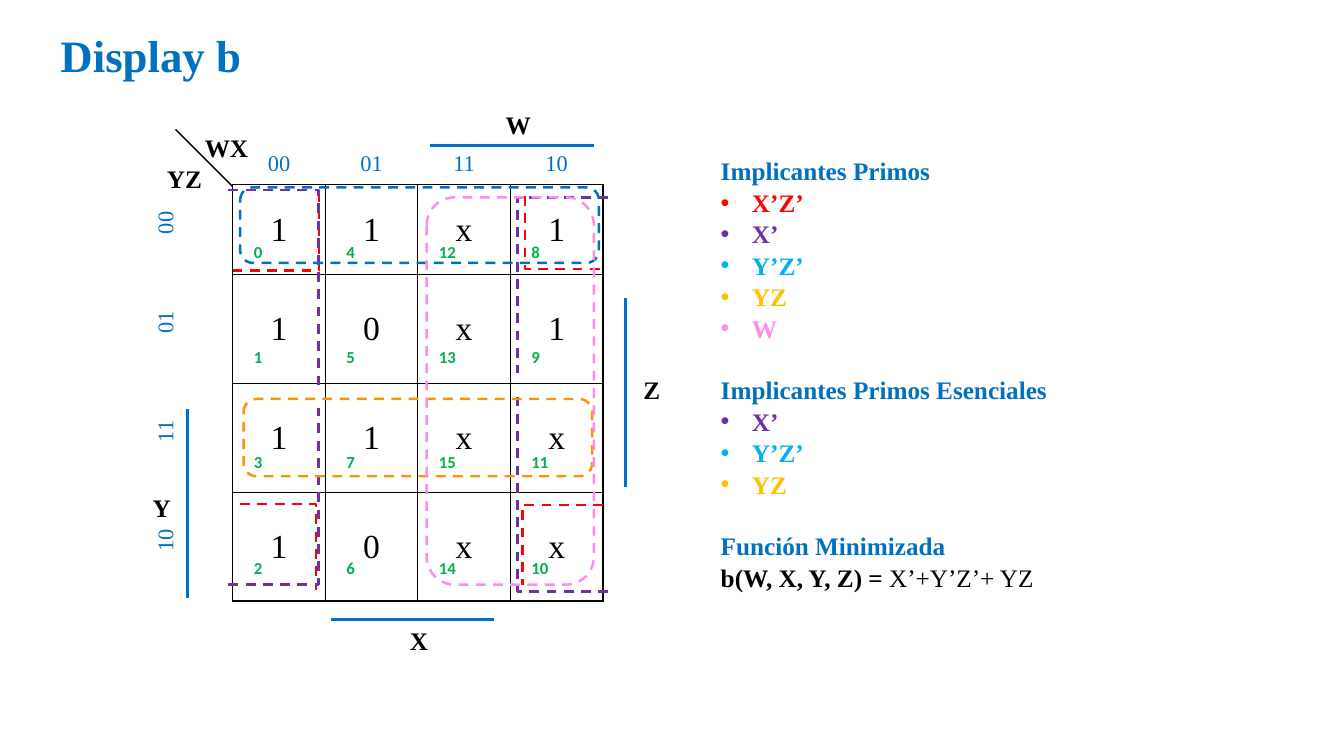
from lxml.etree import SubElement as Sub
from pptx import Presentation
from pptx.dml.color import RGBColor as RGB
from pptx.enum.dml import MSO_LINE as Dash
from pptx.enum.shapes import MSO_CONNECTOR as Conn, MSO_SHAPE as Form
from pptx.enum.text import MSO_ANCHOR as Anchor, MSO_AUTO_SIZE as Fit, PP_ALIGN as Align
from pptx.oxml.ns import qn
from pptx.util import Inches, Pt

COLS, ROWS = 160, 90
FONT = "Times New Roman"
INK = {
    "blue": "0070C0", "black": "000000", "red": "FF0000", "purple": "7030A0",
    "sky": "00B0F0", "gold": "FFC000", "pink": "FD8DEA", "orange": "FF9201",
    "green": "00B050",
}
GRAY = [0, 1, 3, 2]
CODES = [format(code, "02b") for code in GRAY]
MAP = ["11x1", "10x1", "11xx", "10xx"]
LABELS = [
    ("WX", 23.2, 15.2, 7.7), ("YZ", 18.7, 18.8, 6.6), ("Y", 17, 58, 4.6),
    ("Z", 75.4, 44, 4.4), ("W", 59, 12.4, 5.4), ("X", 47.6, 73.8, 4.6),
]
BARS = [
    (51.2, 17.3, 70.7, 17.3), (39.4, 73.8, 58.8, 73.8),
    (74.5, 35.5, 74.5, 58), (22.3, 48.7, 22.3, 71.2),
]
# Each corner runs sideways from its first point, then up or down to its second.
CORNERS = {
    "red": [(27.7, 32.2, 38, 23.2), (71.4, 32, 62.5, 22.7),
            (28.6, 60, 37.6, 70.3), (71.8, 60.1, 62.2, 69.6)],
    "purple": [(27.2, 22.6, 37.9, 46.4), (27.2, 69.6, 37.9, 48.6),
               (72.4, 70.4, 61.6, 46.7), (72.4, 23.5, 61.6, 44.4)],
}
LOOPS = [
    ("blue", 28.6, 22.3, 42.7, 9), ("orange", 29, 47.5, 41.5, 9.2),
    ("pink", 50.8, 23.5, 19.9, 46.1),
]
TERMS = [
    ("Implicantes Primos", [("X’Z’", "red"), ("X’", "purple"), ("Y’Z’", "sky"),
                            ("YZ", "gold"), ("W", "pink")]),
    ("Implicantes Primos Esenciales", [("X’", "purple"), ("Y’Z’", "sky"), ("YZ", "gold")]),
    ("Función Minimizada", []),
]


class Board:
    def __init__(self, deck):
        self.wide, self.high = deck.slide_width, deck.slide_height
        self.slide = deck.slides.add_slide(deck.slide_layouts[1])
        self.shapes = self.slide.shapes

    def grid(self, *nums):
        """Turn alternating column and row counts into lengths."""
        units = (self.wide / COLS, self.high / ROWS)
        return [round(num * units[i % 2]) for i, num in enumerate(nums)]

    def place(self, shape, *box):
        shape.left, shape.top, shape.width, shape.height = self.grid(*box)

    def style(self, part, ink, size=18, bold=True, font=FONT):
        for run in part.runs:
            run.font.name, run.font.size, run.font.bold = font, Pt(size), bold
            run.font.color.rgb = RGB.from_string(INK[ink])

    def title(self, text, *box):
        shape = self.shapes.title
        self.place(shape, *box)
        frame = shape.text_frame
        frame.text, frame.word_wrap, frame.auto_size = text, False, Fit.NONE
        part = frame.paragraphs[0]
        part.alignment = Align.LEFT
        self.style(part, "blue", 32)

    def item(self, frame, text, ink, dot=False, gap=0):
        part = frame.paragraphs[0]
        if part.runs:
            part = frame.add_paragraph()
        part.text, part.line_spacing, part.space_before = text, 1.045, Pt(gap)
        props = part._p.get_or_add_pPr()
        hang = Inches(0.31) if dot else 0
        props.set("marL", str(hang))
        props.set("indent", str(-hang))
        if dot:
            Sub(props, qn("a:buChar")).set("char", "•")
        else:
            Sub(props, qn("a:buNone"))
        self.style(part, ink)
        return part

    def terms(self, *box):
        body = self.slide.placeholders[1]
        self.place(body, *box)
        frame = body.text_frame
        frame.auto_size = Fit.NONE
        for i, (head, names) in enumerate(TERMS):
            self.item(frame, head, "blue", gap=21.6 if i else 0)
            for name, ink in names:
                self.item(frame, name, ink, dot=True)
        part = self.item(frame, "b(W, X, Y, Z) = ", "black")
        part.add_run().text = "X’+Y’Z’+ YZ"
        self.style(part, "black")
        part.runs[-1].font.bold = False

    def label(self, text, x, y, w):
        frame = self.shapes.add_textbox(*self.grid(x, y, w, 4.8)).text_frame
        frame.text, frame.word_wrap, frame.auto_size = text, False, Fit.SHAPE_TO_FIT_TEXT
        self.style(frame.paragraphs[0], "black")

    def table(self, x, y, wide, highs):
        frame = self.shapes.add_table(5, 5, *self.grid(x, y, 5 * wide, sum(highs)))
        table = frame.table
        table.first_row = table.horz_banding = False
        for col in table.columns:
            col.width = self.grid(wide)[0]
        for row, high in zip(table.rows, highs):
            row.height = self.grid(0, high)[1]
        return table

    def cell(self, cell, sides, pads, anchor):
        props = cell._tc.get_or_add_tcPr()
        for side in "LRTB":
            line = Sub(props, qn("a:ln" + side), w=str(Pt(1)))
            if side in sides:
                fill = Sub(line, qn("a:solidFill"))
                Sub(fill, qn("a:srgbClr"), val=INK["black"])
            else:
                Sub(line, qn("a:noFill"))
        cell.fill.background()
        cell.vertical_anchor = anchor
        (cell.margin_left, cell.margin_top,
         cell.margin_right, cell.margin_bottom) = map(Inches, pads)

    def entry(self, cell, text, ink, size, align=Align.CENTER, **look):
        cell.text_frame.text = text
        part = cell.text_frame.paragraphs[0]
        part.alignment = align
        self.style(part, ink, size, **look)

    def indices(self):
        table = self.table(16.2, 7.8, 11.02, [12.53] * 5)
        for r in range(5):
            for c in range(5):
                cell = table.cell(r, c)
                self.cell(cell, "", (0.25, 0.13, 0.25, 0.13), Anchor.BOTTOM)
                if r and c:
                    text = str(4 * GRAY[c - 1] + GRAY[r - 1])
                    self.entry(cell, text, "green", 12, Align.LEFT, font="Calibri")

    def values(self):
        table = self.table(16.7, 15.6, 11.02, [6.35, 10.75] + [12.95] * 3)
        for r in range(5):
            for c in range(5):
                cell = table.cell(r, c)
                if r and c:
                    self.cell(cell, "LRTB", (0.01, 0.01, 0.01, 0), Anchor.MIDDLE)
                    self.entry(cell, MAP[r - 1][c - 1], "black", 24, bold=False)
                    continue
                side = "B" if c else "R" if r else ""
                self.cell(cell, side, (0.25, 0.13, 0.12 if r else 0.25, 0.08), Anchor.BOTTOM)
                if r or c:
                    self.entry(cell, CODES[max(r, c) - 1], "blue", 16, bold=False)
                if r:
                    cell._tc.tcPr.set("vert", "vert270")

    def line(self, ink, width, *ends, kind=Conn.STRAIGHT):
        wire = self.shapes.add_connector(kind, *self.grid(*ends))
        wire.line.color.rgb, wire.line.width = RGB.from_string(INK[ink]), Pt(width)
        Sub(wire._element.spPr, qn("a:effectLst"))
        return wire

    def corner(self, ink, *ends):
        wire = self.line(ink, 1.75, *ends, kind=Conn.ELBOW)
        wire.line.dash_style = Dash.DASH
        geom = wire._element.spPr.find(qn("a:prstGeom"))
        guides = geom.find(qn("a:avLst"))
        Sub(guides, qn("a:gd"), name="adj1", fmla="val 100000")

    def loop(self, ink, *box):
        shape = self.shapes.add_shape(Form.ROUNDED_RECTANGLE, *self.grid(*box))
        shape.shadow.inherit = False
        shape.fill.background()
        shape.line.color.rgb, shape.line.width = RGB.from_string(INK[ink]), Pt(1.75)
        shape.line.dash_style = Dash.DASH


def main():
    deck = Presentation()
    deck.slide_width, deck.slide_height = Inches(13.33), Inches(7.5)
    board = Board(deck)
    board.indices()
    board.values()
    board.line("black", 1, 27.7, 22.2, 20.9, 15.4)
    for label in LABELS:
        board.label(*label)
    for bar in BARS:
        board.line("blue", 2.25, *bar)
    board.terms(84.6, 17.8, 65.6, 55.7)
    board.title("Display b", 6, 2.6, 24.1, 7.7)
    for ink, ends in CORNERS.items():
        for end in ends:
            board.corner(ink, *end)
    for loop in LOOPS:
        board.loop(*loop)
    deck.save("out.pptx")


if __name__ == "__main__":
    main()
